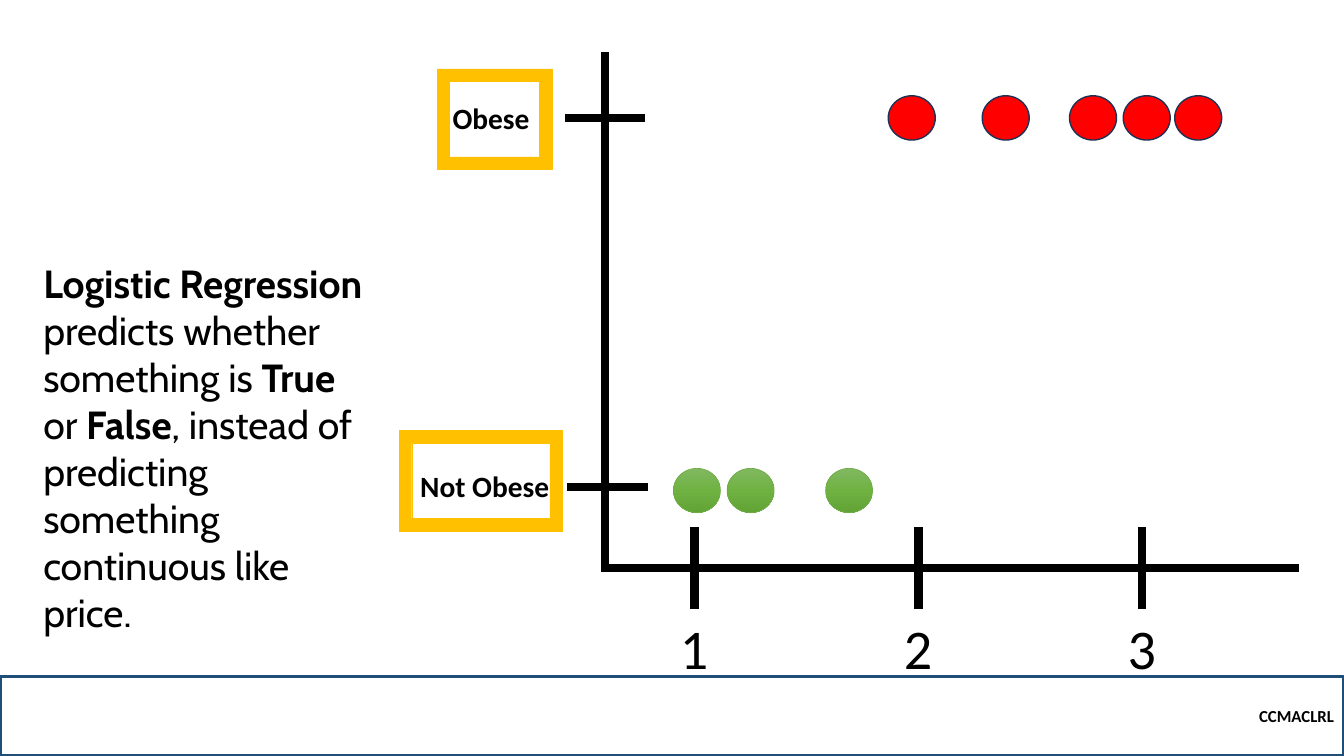
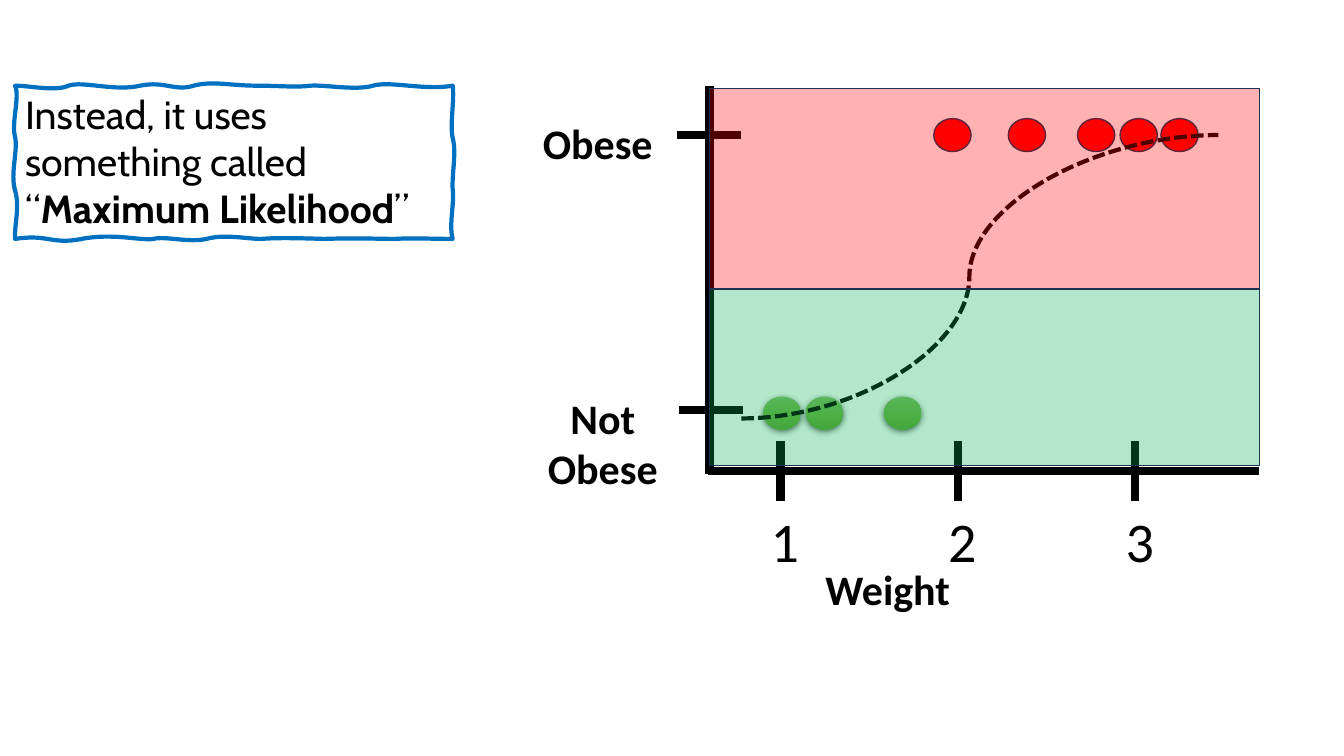
"""Two slides that introduce logistic regression with the same obesity plot."""
from dataclasses import dataclass
from typing import NamedTuple

from pptx import Presentation
from pptx.dml.color import RGBColor
from pptx.enum.dml import MSO_LINE
from pptx.enum.shapes import MSO_CONNECTOR, MSO_SHAPE
from pptx.enum.text import MSO_ANCHOR, MSO_AUTO_SIZE, PP_ALIGN
from pptx.oxml import parse_xml
from pptx.oxml.ns import nsdecls, qn
from pptx.shapes.autoshape import Shape
from pptx.shapes.connector import Connector
from pptx.slide import Slide
from pptx.util import Emu, Inches, Pt

STRAIGHT, CURVE = MSO_CONNECTOR.STRAIGHT, MSO_CONNECTOR.CURVE
RECTANGLE, OVAL, FRAME = MSO_SHAPE.RECTANGLE, MSO_SHAPE.OVAL, MSO_SHAPE.FRAME
LEFT, CENTER, RIGHT = PP_ALIGN.LEFT, PP_ALIGN.CENTER, PP_ALIGN.RIGHT
TOP, MIDDLE = MSO_ANCHOR.TOP, MSO_ANCHOR.MIDDLE
GROW = MSO_AUTO_SIZE.SHAPE_TO_FIT_TEXT
DASH = MSO_LINE.SQUARE_DOT

SLIDE_WIDTH, SLIDE_HEIGHT = Inches(13.33), Inches(7.5)
BODY_FONT, LABEL_FONT = "Cabin", "Calibri"
BLACK, RED, GREEN, YELLOW = "000000", "FF0000", "00B050", "FFC000"
NAVY, FOOTER_BLUE, WAVE_BLUE, LEAF = "1E3256", "1F4E79", "0070C0", "70AD47"
LEAF_GRADIENT = ((0, "81B861"), (50, "6FB242"), (100, "62A336"))

NOT_OBESE_WEIGHTS = (1.01, 1.25, 1.69)
OBESE_WEIGHTS = (1.97, 2.39, 2.78, 3.02, 3.25)
TICK_WEIGHTS = (1, 2, 3)
AXIS_START, AXIS_END = 0.6, 3.7
AXIS_BOTTOM, AXIS_TOP = -0.22, 1.18
TICK_COLUMNS, TICK_ROWS = 0.18, 0.11
DOT_COLUMNS, DOT_ROWS = 0.21, 0.12

WAVE_LEFT, WAVE_TOP, WAVE_RIGHT, WAVE_BOTTOM = 15, 85, 449, 237
WAVE_CURVES = (
    (30, 85, 55, 91, 68, 85), (82, 80, 114, 91, 139, 85),
    (164, 80, 173, 91, 192, 85), (211, 80, 229, 85, 254, 85),
    (280, 85, 293, 87, 308, 85), (323, 84, 353, 90, 370, 85),
    (387, 80, 421, 90, 449, 85), (451, 100, 446, 123, 449, 137),
    (453, 151, 448, 174, 449, 188), (451, 201, 445, 223, 449, 237),
    (430, 237, 407, 236, 392, 237), (377, 237, 354, 236, 321, 237),
    (288, 236, 273, 236, 259, 237), (244, 237, 223, 232, 205, 237),
    (187, 241, 164, 234, 152, 237), (140, 239, 112, 231, 81, 237),
    (51, 243, 48, 232, 15, 237), (14, 223, 20, 206, 15, 189),
    (10, 172, 18, 149, 15, 136), (11, 122, 20, 96, 15, 85),
)


class Box(NamedTuple):
    """Left, top, width and height in percent of the slide."""
    left: float
    top: float
    width: float
    height: float

    def emu(self) -> tuple[Emu, Emu, Emu, Emu]:
        """Return the box in slide units."""
        return (Emu(round(self.left * SLIDE_WIDTH / 100)), Emu(round(self.top * SLIDE_HEIGHT / 100)),
                Emu(round(self.width * SLIDE_WIDTH / 100)), Emu(round(self.height * SLIDE_HEIGHT / 100)))


class Words(NamedTuple):
    """A run of text and its weight."""
    text: str
    bold: bool = False


@dataclass(frozen=True)
class TextStyle:
    """Font and placing of a block of text."""
    size: float
    font: str = LABEL_FONT
    align: PP_ALIGN = LEFT
    anchor: MSO_ANCHOR = TOP
    wrap: bool = True
    grow: bool = True


@dataclass(frozen=True)
class Plot:
    """Grid with one column per weight unit and one row between the two classes."""
    first_tick: float
    column: float
    obese_top: float
    row: float

    def area(self, start: float, end: float, bottom: float, top: float) -> Box:
        """Return the box between two weights and two levels."""
        return Box(self.first_tick + (start - 1) * self.column,
                   self.obese_top + (1 - top) * self.row,
                   (end - start) * self.column, (top - bottom) * self.row)


@dataclass(frozen=True)
class DotStyle:
    """Look of the dots of one class."""
    fill: str = ""
    line: str = ""
    line_width: float = 1
    shadow: bool = False


BODY = TextStyle(28, BODY_FONT)
SMALL_LABEL = TextStyle(21)
LARGE_LABEL = TextStyle(30, align=CENTER)
TITLE_LABEL = TextStyle(30)
NUMBER = TextStyle(40, wrap=False)
FOOTER = TextStyle(12, align=RIGHT, anchor=MIDDLE, grow=False)
OBESE_DOT = DotStyle(RED, NAVY)
OUTLINED_DOT = DotStyle(line=LEAF, line_width=0.5)
SHADOWED_DOT = DotStyle(shadow=True)


def color(value: str) -> RGBColor:
    """Turn a hex string into a colour."""
    return RGBColor.from_string(value)


def style_shape(shape: Shape, fill: str = "", line: str = "", width: float = 1) -> Shape:
    """Set the fill and line of a shape, or leave them out."""
    shape.shadow.inherit = False
    if fill:
        shape.fill.solid()
        shape.fill.fore_color.rgb = color(fill)
    else:
        shape.fill.background()
    if line:
        shape.line.color.rgb = color(line)
        shape.line.width = Pt(width)
    else:
        shape.line.fill.background()
    return shape


def add_shape(slide: Slide, kind: MSO_SHAPE, box: Box, fill: str = "", line: str = "",
              width: float = 1) -> Shape:
    """Add a styled preset shape."""
    return style_shape(slide.shapes.add_shape(kind, *box.emu()), fill, line, width)


def write(shape: Shape, style: TextStyle, *runs: Words) -> None:
    """Write one paragraph into a shape."""
    frame = shape.text_frame
    frame.word_wrap = style.wrap
    frame.vertical_anchor = style.anchor
    if style.grow:
        frame.auto_size = GROW
    paragraph = frame.paragraphs[0]
    paragraph.alignment = style.align
    paragraph.font.name = style.font
    paragraph.font.size = Pt(style.size)
    paragraph.font.color.rgb = color(BLACK)
    for words in runs:
        run = paragraph.add_run()
        run.text = words.text
        run.font.bold = words.bold


def add_text(slide: Slide, box: Box, style: TextStyle, *runs: Words) -> None:
    """Add a text box."""
    write(slide.shapes.add_textbox(*box.emu()), style, *runs)


def add_line(slide: Slide, box: Box, kind: MSO_CONNECTOR = STRAIGHT, width: float = 6) -> Connector:
    """Add a black line from the bottom left to the top right of a box."""
    left, top, across, down = box.emu()
    line = slide.shapes.add_connector(kind, left, top + down, left + across, top)
    line.line.color.rgb = color(BLACK)
    line.line.width = Pt(width)
    line._element.spPr.append(parse_xml(f"<a:effectLst {nsdecls('a')}/>"))
    return line


def add_axes(slide: Slide, plot: Plot) -> None:
    """Draw both axes, their ticks and the weight numbers."""
    add_line(slide, plot.area(AXIS_START, AXIS_START, AXIS_BOTTOM - 0.01, AXIS_TOP))
    add_line(slide, plot.area(AXIS_START - 0.01, AXIS_END, AXIS_BOTTOM, AXIS_BOTTOM))
    tick_bottom = AXIS_BOTTOM - TICK_ROWS
    for weight in TICK_WEIGHTS:
        add_line(slide, plot.area(weight, weight, tick_bottom, AXIS_BOTTOM + TICK_ROWS))
        number_box = plot.area(weight - 0.11, weight + 0.11, tick_bottom - 0.21, tick_bottom)
        add_text(slide, number_box, NUMBER, Words(str(weight)))
    for level, center in ((0, AXIS_START + 0.01), (1, AXIS_START)):
        add_line(slide, plot.area(center - TICK_COLUMNS, center + TICK_COLUMNS, level, level))


def fill_gradient(shape: Shape) -> None:
    """Fill a shape with the green gradient from top to bottom."""
    shape.fill.gradient()
    shape.fill.gradient_angle = 270
    stops = shape._element.spPr.find(".//" + qn("a:gsLst"))
    stops[:] = [parse_xml(f'<a:gs {nsdecls("a")} pos="{share * 1000}"><a:srgbClr val="{value}"/></a:gs>')
                for share, value in LEAF_GRADIENT]


def add_shadow(shape: Shape) -> None:
    """Give a shape a soft shadow below it."""
    shape._element.spPr.find(qn("a:effectLst")).append(parse_xml(
        f'<a:outerShdw {nsdecls("a")} blurRad="{Pt(4.5)}" dist="{Pt(1.5)}" dir="5400000" rotWithShape="0">'
        f'<a:srgbClr val="{BLACK}"><a:alpha val="63000"/></a:srgbClr></a:outerShdw>'))


def add_dots(slide: Slide, plot: Plot, weights: tuple[float, ...], level: float, style: DotStyle) -> None:
    """Draw one dot for each weight of a class."""
    across, up = DOT_COLUMNS / 2, DOT_ROWS / 2
    for weight in weights:
        box = plot.area(weight - across, weight + across, level - up, level + up)
        dot = add_shape(slide, OVAL, box, style.fill, style.line, style.line_width)
        if not style.fill:
            fill_gradient(dot)
        if style.shadow:
            add_shadow(dot)


def add_data(slide: Slide, plot: Plot, not_obese: DotStyle) -> None:
    """Draw the dots of both classes."""
    add_dots(slide, plot, NOT_OBESE_WEIGHTS, -0.01, not_obese)
    add_dots(slide, plot, OBESE_WEIGHTS, 1, OBESE_DOT)


def add_sigmoid(slide: Slide, plot: Plot) -> None:
    """Draw the dashed S curve."""
    curve = add_line(slide, plot.area(0.78, 3.47, -0.03, 1), CURVE, 3)
    curve.line.dash_style = DASH
    curve._element.spPr.find(".//" + qn("a:avLst")).append(
        parse_xml(f'<a:gd {nsdecls("a")} name="adj1" fmla="val 47800"/>'))


def add_region(slide: Slide, plot: Plot, bottom: float, top: float, fill: str) -> None:
    """Lay a see-through band over part of the plot."""
    region = add_shape(slide, RECTANGLE, plot.area(AXIS_START, AXIS_END, bottom, top), fill, NAVY)
    region._element.spPr.find(f"{qn('a:solidFill')}/{qn('a:srgbClr')}").append(
        parse_xml(f'<a:alpha {nsdecls("a")} val="30000"/>'))


def add_wavy_box(slide: Slide) -> Shape:
    """Draw a box in hundredths of an inch and bend its sides into waves."""
    builder = slide.shapes.build_freeform(WAVE_LEFT, WAVE_TOP, scale=Inches(0.01))
    builder.add_line_segments(((WAVE_RIGHT, WAVE_TOP), (WAVE_RIGHT, WAVE_BOTTOM), (WAVE_LEFT, WAVE_BOTTOM)))
    shape = builder.convert_to_shape()
    outline = shape._element.spPr.find(".//" + qn("a:pathLst"))[0]
    curves = []
    for curve in WAVE_CURVES:
        points = "".join(f'<a:pt x="{x - WAVE_LEFT}" y="{y - WAVE_TOP}"/>'
                         for x, y in zip(curve[::2], curve[1::2]))
        curves.append(parse_xml(f"<a:cubicBezTo {nsdecls('a')}>{points}</a:cubicBezTo>"))
    outline[1:-1] = curves
    return style_shape(shape, line=WAVE_BLUE, width=3)


def build_prediction_slide(slide: Slide) -> None:
    """Show that the method predicts one of two classes."""
    plot = Plot(51.69, 16.65, 15.6, 48.8)
    footer = add_shape(slide, RECTANGLE, Box(0, 89.47, 100, 10.53), line=FOOTER_BLUE, width=2.25)
    write(footer, FOOTER, Words("CCMACLRL", True))
    add_axes(slide, plot)
    add_text(slide, Box(30.53, 61.25, 11.33, 6), SMALL_LABEL, Words("Not Obese", True))
    add_text(slide, Box(32.93, 12.6, 7.73, 6), SMALL_LABEL, Words("Obese", True))
    add_data(slide, plot, OUTLINED_DOT)
    add_text(slide, Box(2.48, 33.6, 25.35, 51.6), BODY,
             Words("Logistic Regression ", True), Words("predicts whether something is "),
             Words("True", True), Words(" or "), Words("False", True),
             Words(", instead of predicting something continuous like price."))
    for box in (Box(32.52, 9.1, 8.55, 13.33), Box(29.7, 56.93, 12.15, 13.33)):
        add_shape(slide, FRAME, box, YELLOW, YELLOW, 0.25)


def build_likelihood_slide(slide: Slide) -> None:
    """Show the fitted curve and name the method behind it."""
    plot = Plot(58.06, 13.2, 17.87, 36.4)
    write(add_wavy_box(slide), BODY, Words("Instead, it uses something called “"),
          Words("Maximum Likelihood", True), Words("”"))
    add_text(slide, Box(60.68, 73.87, 11.33, 8.13), TITLE_LABEL, Words("Weight", True))
    add_axes(slide, plot)
    add_text(slide, Box(39.45, 51.2, 10.8, 14.8), LARGE_LABEL, Words("Not Obese", True))
    add_text(slide, Box(39.6, 14.93, 9.75, 8.13), LARGE_LABEL, Words("Obese", True))
    add_data(slide, plot, SHADOWED_DOT)
    add_sigmoid(slide, plot)
    add_region(slide, plot, -0.2, 0.44, GREEN)
    add_region(slide, plot, 0.44, 1.17, RED)


def main() -> None:
    """Build and save the presentation."""
    presentation = Presentation()
    presentation.slide_width, presentation.slide_height = SLIDE_WIDTH, SLIDE_HEIGHT
    for build in (build_prediction_slide, build_likelihood_slide):
        build(presentation.slides.add_slide(presentation.slide_layouts[6]))
    presentation.save("out.pptx")


if __name__ == "__main__":
    main()
